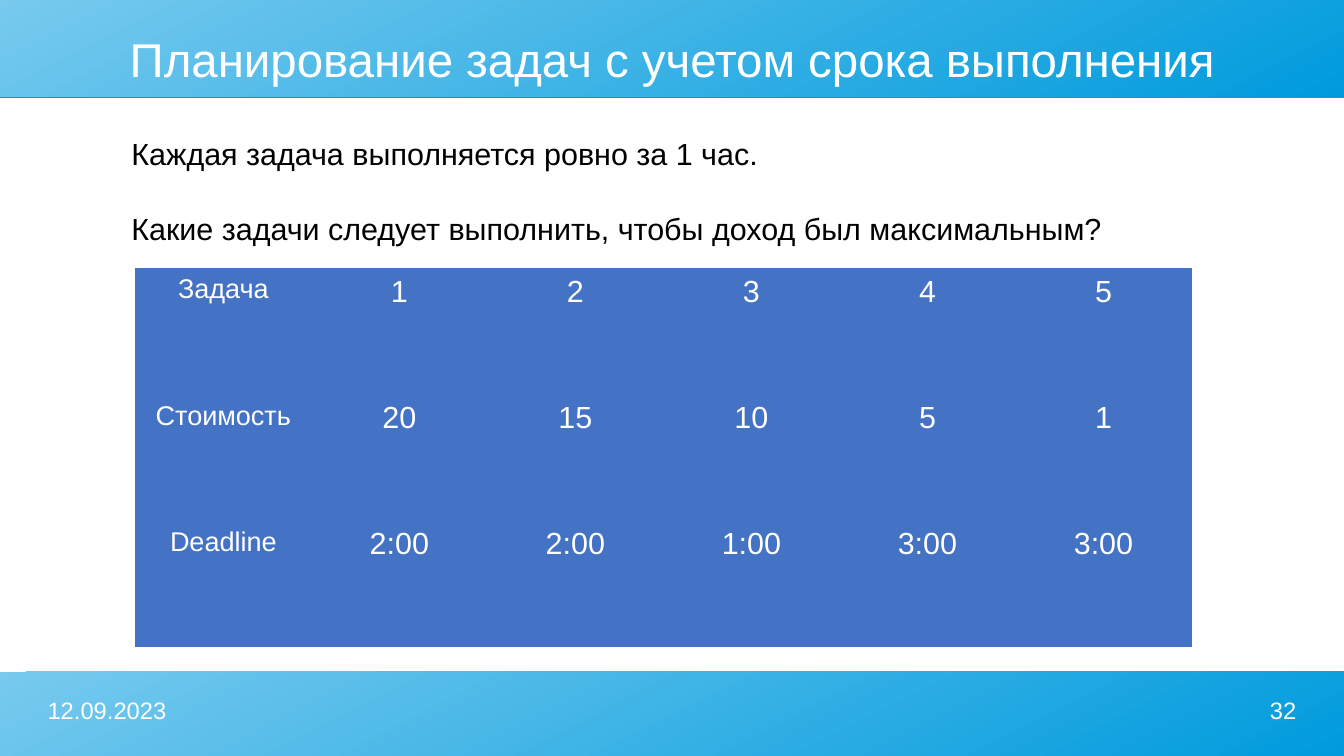
from lxml.etree import SubElement
from pptx import Presentation
from pptx.dml.color import RGBColor as Rgb
from pptx.enum.shapes import MSO_SHAPE as Shape
from pptx.enum.text import MSO_ANCHOR as Anchor, PP_ALIGN as Align
from pptx.oxml.ns import qn
from pptx.util import Inches, Pt

WIDE, HIGH = 11.02, 6.2
PLAIN = "{2D5ABB26-0587-4C30-8999-92F81FD0307C}"
HUES = {"light": "77CAEE", "deep": "009BDD", "cell": "4472C4",
        "white": "FFFFFF", "black": "000000"}
ROWS = [("Задача", "1", "2", "3", "4", "5"),
        ("Стоимость", "20", "15", "10", "5", "1"),
        ("Deadline", "2:00", "2:00", "1:00", "3:00", "3:00")]


class Deck:
    """Holds the style and the current slide, and draws each kind of element."""

    def __init__(self, font):
        self.font = font
        self.show = Presentation()
        self.show.slide_width = Inches(WIDE)
        self.show.slide_height = Inches(HIGH)
        self.slide = self.show.slides.add_slide(self.show.slide_layouts[5])
        self.shapes = self.slide.shapes

    def hue(self, name):
        return Rgb.from_string(HUES[name])

    def put(self, para, text, size, hue="white", align=Align.LEFT):
        para.alignment = align
        run = para.add_run()
        run.text = text
        run.font.name = self.font
        run.font.size = Pt(size)
        run.font.color.rgb = self.hue(hue)

    def pad(self, frame, side=0, end=0):
        frame.margin_left = frame.margin_right = Inches(side)
        frame.margin_top = frame.margin_bottom = Inches(end)

    def band(self, top, high):
        band = self.shapes.add_shape(
            Shape.RECTANGLE, 0, Inches(top), Inches(WIDE), Inches(high))
        band.line.fill.background()
        band.fill.gradient()
        band.fill.gradient_angle = 360 - 63
        for stop, name in zip(band.fill.gradient_stops, ("light", "deep")):
            stop.color.rgb = self.hue(name)
        band.shadow.inherit = False
        glow = band.element.spPr.find(qn("a:effectLst"))
        shade = SubElement(glow, qn("a:outerShdw"), dist=str(Pt(0.9)),
                           dir="5400000", rotWithShape="0")
        SubElement(shade, qn("a:srgbClr"), val=HUES["deep"])

    def title(self, text, left, top, wide, high):
        title = self.shapes.title
        title.left, title.top = Inches(left), Inches(top)
        title.width, title.height = Inches(wide), Inches(high)
        title.element.getparent().append(title.element)
        frame = title.text_frame
        frame.vertical_anchor = Anchor.MIDDLE
        self.pad(frame)
        self.put(frame.paragraphs[0], text, 28, align=Align.CENTER)

    def label(self, text, left, align):
        box = self.shapes.add_textbox(
            Inches(left), Inches(5.71), Inches(2.56), Inches(0.39))
        frame = box.text_frame
        frame.word_wrap = True
        self.pad(frame)
        self.put(frame.paragraphs[0], text, 14, align=align)

    def text(self, lines, left, top, wide, high, gap):
        box = self.shapes.add_textbox(
            Inches(left), Inches(top), Inches(wide), Inches(high))
        frame = box.text_frame
        frame.word_wrap = False
        self.pad(frame, 0.1, 0.05)
        for i, line in enumerate(lines):
            para = frame.add_paragraph() if i else frame.paragraphs[0]
            para.space_before = Pt(gap if i else 0)
            self.put(para, line, 18, "black")

    def table(self, rows, left, top, wide, high):
        grid = self.shapes.add_table(
            len(rows), len(rows[0]), Inches(left), Inches(top),
            Inches(wide), Inches(high))
        for style in grid.element.iter(qn("a:tableStyleId")):
            style.text = PLAIN
        table = grid.table
        table.first_row = table.horz_banding = False
        for r, row in enumerate(rows):
            for c, text in enumerate(row):
                cell = table.cell(r, c)
                cell.fill.solid()
                cell.fill.fore_color.rgb = self.hue("cell")
                self.put(cell.text_frame.paragraphs[0], text,
                         18 if c else 16, align=Align.CENTER)


def main():
    deck = Deck("Arial")
    deck.band(0, 0.79)
    deck.band(5.51, 0.69)
    deck.label("12.09.2023", 0.39, Align.LEFT)
    deck.label("32", 8.07, Align.RIGHT)
    deck.title("Планирование задач с учетом срока выполнения",
               0.39, 0.22, 10.24, 0.52)
    deck.table(ROWS, 1.11, 2.2, 8.66, 3.11)
    deck.text(["Каждая задача выполняется ровно за 1 час.",
               "Какие задачи следует выполнить, чтобы доход был максимальным?"],
              0.98, 1.06, 8.46, 0.94, 22.4)
    deck.show.save("out.pptx")


if __name__ == "__main__":
    main()
